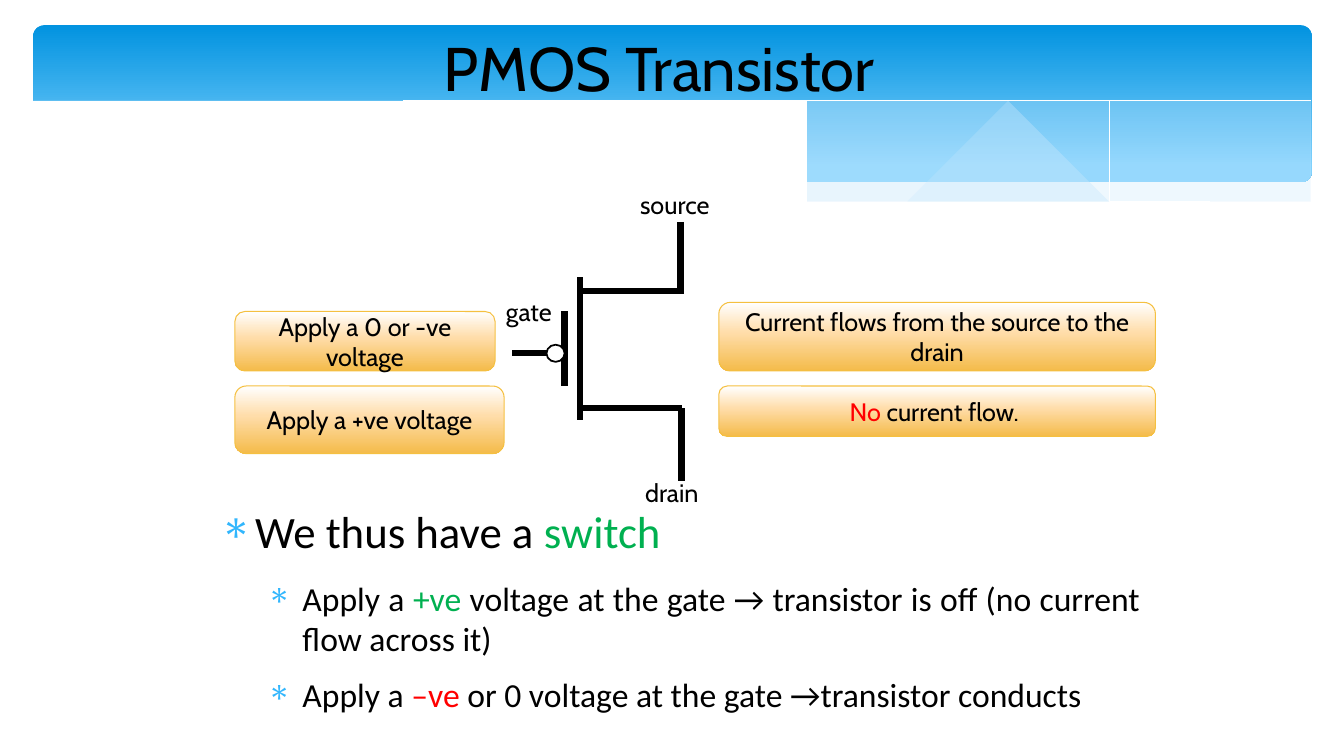
from lxml.etree import SubElement
from pptx import Presentation
from pptx.dml.color import RGBColor
from pptx.enum.shapes import MSO_CONNECTOR as Connector, MSO_SHAPE as Preset
from pptx.enum.text import MSO_ANCHOR as Anchor, MSO_AUTO_SIZE as AutoSize, PP_ALIGN as Align
from pptx.oxml.ns import qn
from pptx.util import Inches, Pt

COLORS = {
    "black": "000000", "white": "FFFFFF", "red": "FF0000", "green": "00B050",
    "bullet": "31B6FD", "wave": "C6E7FC", "sky": "0293E0", "light_sky": "83D3FE",
    "peach": "FFDDAA", "amber": "F4BB4A", "amber_edge": "F5C040",
}
BANNER_STOPS = [(0, "sky"), (90, "light_sky")]
LABEL_STOPS = [(0, "white"), (44, "peach"), (100, "amber")]

RIGHT_WAVE = [
    (13.01, 0.94), (12.46, 1.01), (11.88, 1.1), (11.47, 1.18), (10.73, 1.31), (10.05, 1.43),
    (9.41, 1.52), (8.82, 1.6), (9.4, 1.65), (9.93, 1.69), (10.41, 1.72), (10.99, 1.72),
    (11.51, 1.7), (11.96, 1.65), (12.38, 1.58), (12.66, 1.52), (13.01, 1.42),
]
MIDDLE_WAVE = [
    (11.9, 1.67), (11.16, 1.59), (10.34, 1.49), (9.41, 1.34), (8.39, 1.16), (7.78, 1.06),
    (7.21, 0.97), (6.69, 0.9), (6.19, 0.86), (5.6, 0.82), (5.06, 0.8), (4.59, 0.8),
    (4.18, 0.82), (3.82, 0.86), (4.31, 0.9), (4.83, 0.97), (5.39, 1.06), (5.99, 1.16),
    (7.06, 1.35), (8.02, 1.5), (8.87, 1.61), (9.63, 1.68), (10.3, 1.72), (10.9, 1.73),
    (11.43, 1.71), (11.9, 1.67),
]
FALLING_CURVE = [
    (4.12, 0.9), (4.38, 0.86), (4.84, 0.83), (5.55, 0.81), (6.25, 0.83), (7.1, 0.88),
    (8.11, 0.98), (9.27, 1.14), (10.6, 1.36), (12.1, 1.66),
]
RISING_CURVE = [
    (8.18, 1.51), (8.7, 1.41), (9.61, 1.24), (10.75, 1.04), (11.55, 0.93), (12.13, 0.86),
    (12.67, 0.82), (13, 0.8),
]
PAGE_EDGE = [
    (13.03, 1.41), (12.66, 1.51), (12.13, 1.62), (11.51, 1.69), (10.78, 1.71), (9.92, 1.68),
    (8.91, 1.6), (8.04, 1.49), (7.06, 1.33), (5.96, 1.14), (5.21, 1.02), (4.53, 0.92),
    (3.9, 0.85), (3.33, 0.81), (2.82, 0.78), (2.35, 0.78), (1.76, 0.81), (1.27, 0.85),
    (0.89, 0.91), (0.61, 0.98), (0.31, 1.07),
]
PAGE_CORNERS = [(0.31, 2.24), (13.03, 2.24)]


def smooth_curve(knots, steps=4):
    """Return points of a Catmull-Rom curve through the knots."""
    padded = [knots[0], *knots, knots[-1]]
    points = [knots[0]]
    for a, b, c, d in zip(padded, padded[1:], padded[2:], padded[3:]):
        for step in range(1, steps + 1):
            t = step / steps
            points.append(tuple(
                q + t / 2 * (r - p + t * (2 * p - 5 * q + 4 * r - s + t * (3 * (q - r) + s - p)))
                for p, q, r, s in zip(a, b, c, d)))
    return points


class TransistorSlide:
    """Draws the elements of the transistor slide in one style."""

    font = "Cabin"
    body_font = "Calibri"

    def __init__(self, slide):
        """Keep the slide to draw on."""
        self.slide = slide
        self.shapes = slide.shapes

    def color(self, name):
        """Return a named colour."""
        return RGBColor.from_string(COLORS[name])

    def outline(self, shape, edge, width):
        """Set or remove an outline and drop the shadow."""
        shape.shadow.inherit = False
        if edge is None:
            shape.line.fill.background()
        else:
            shape.line.color.rgb = self.color(edge)
            shape.line.width = Pt(width)

    def preset(self, kind, box, fill, edge=None, width=0.75):
        """Add a preset shape with a plain or vertical gradient fill."""
        shape = self.shapes.add_shape(kind, *map(Inches, box))
        self.outline(shape, edge, width)
        if isinstance(fill, str):
            shape.fill.solid()
            shape.fill.fore_color.rgb = self.color(fill)
            return shape
        shape.fill.gradient()
        shape.fill.gradient_angle = 270
        stops = shape.element.spPr.find(".//" + qn("a:gsLst"))
        for stop in list(stops):
            stops.remove(stop)
        for percent, name in fill:
            stop = SubElement(stops, qn("a:gs"), pos=str(percent * 1000))
            SubElement(stop, qn("a:srgbClr"), val=COLORS[name])
        return shape

    def freeform(self, points, fill=None, opacity=100, edge=None):
        """Add a filled outline, or an open curve when there is no fill."""
        builder = self.shapes.build_freeform(*points[0], scale=Inches(1))
        builder.add_line_segments(points[1:], close=fill is not None)
        shape = builder.convert_to_shape()
        self.outline(shape, edge, 0)
        if fill is None:
            shape.fill.background()
            return
        shape.fill.solid()
        shape.fill.fore_color.rgb = self.color(fill)
        if opacity < 100:
            tint = shape.element.spPr.find(qn("a:solidFill")).find(qn("a:srgbClr"))
            SubElement(tint, qn("a:alpha"), val=str(opacity * 1000))

    def fill_paragraph(self, paragraph, runs, size, font, align=None):
        """Fill a paragraph with (text, colour) runs."""
        paragraph.font.size = Pt(size)
        paragraph.font.name = font
        paragraph.alignment = align
        if len(runs) == 1:
            paragraph.font.color.rgb = self.color(runs[0][1])
        for words, name in runs:
            run = paragraph.add_run()
            run.text = words
            if len(runs) > 1:
                run.font.color.rgb = self.color(name)

    def caption(self, words, box, size=18, wrap=False, align=None):
        """Add a free-standing text."""
        frame = self.shapes.add_textbox(*map(Inches, box)).text_frame
        frame.word_wrap = wrap
        frame.auto_size = AutoSize.SHAPE_TO_FIT_TEXT
        self.fill_paragraph(frame.paragraphs[0], [(words, "black")], size, self.font, align)

    def label(self, runs, box):
        """Add a rounded amber label."""
        frame = self.preset(Preset.ROUNDED_RECTANGLE, box, LABEL_STOPS, "amber_edge").text_frame
        frame.word_wrap = True
        frame.vertical_anchor = Anchor.MIDDLE
        self.fill_paragraph(frame.paragraphs[0], runs, 18, self.font, Align.CENTER)

    def wire(self, x1, y1, x2, y2):
        """Add a thick black line."""
        line = self.shapes.add_connector(Connector.STRAIGHT, *map(Inches, (x1, y1, x2, y2)))
        line.line.color.rgb = self.color("black")
        line.line.width = Pt(4.5)
        SubElement(line.element.spPr, qn("a:effectLst"))

    def bullets(self, items, box):
        """Add a bulleted list of (level, runs) items."""
        frame = self.shapes.add_textbox(*map(Inches, box)).text_frame
        frame.word_wrap = True
        frame.margin_left = frame.margin_right = frame.margin_top = frame.margin_bottom = 0
        for index, (level, runs) in enumerate(items):
            paragraph = frame.add_paragraph() if index else frame.paragraphs[0]
            paragraph.level = level
            props = paragraph._p.get_or_add_pPr()
            props.set("marL", str(Inches(0.47 * (level + 1))))
            props.set("indent", str(Inches(-0.35)))
            tint = SubElement(props, qn("a:buClr"))
            SubElement(tint, qn("a:srgbClr"), val=COLORS["bullet"])
            SubElement(props, qn("a:buChar"), char="∗")
            paragraph.space_after = Pt(11.3 if level else 14.1)
            self.fill_paragraph(
                paragraph, runs, 24 if level else 32, self.body_font, Align.JUSTIFY)


def main():
    """Build the slide and save it."""
    deck = Presentation()
    deck.slide_width, deck.slide_height = Inches(13.33), Inches(7.5)
    page = TransistorSlide(deck.slides.add_slide(deck.slide_layouts[6]))

    banner = page.preset(Preset.ROUNDED_RECTANGLE, (0.33, 0.25, 12.68, 1.56), BANNER_STOPS)
    banner.adjustments[0] = 0.07
    page.freeform(smooth_curve(RIGHT_WAVE), "wave", 29)
    page.freeform(smooth_curve(MIDDLE_WAVE), "wave", 40)
    for curve in (FALLING_CURVE, RISING_CURVE):
        page.freeform(smooth_curve(curve), edge="white")
    page.freeform(smooth_curve(PAGE_EDGE) + PAGE_CORNERS, "white")

    page.caption("PMOS Transistor", (1.83, 0.25, 9.42, 0.84), 44, True, Align.CENTER)
    page.label([("Apply a 0 or -ve voltage", "black")], (2.33, 3.09, 2.58, 0.59))
    page.label([("Current flows from the source to the drain", "black")], (7.13, 3, 4.33, 0.68))
    page.label([("Apply a +ve voltage", "black")], (2.33, 3.83, 2.67, 0.67))
    page.label([("No", "red"), (" current flow. ", "black")], (7.13, 3.83, 4.33, 0.5))
    page.caption("source", (6.25, 1.83, 0.92, 0.4))
    page.caption("drain", (6.3, 4.69, 0.75, 0.4))
    page.caption("gate", (4.92, 2.89, 0.68, 0.4))
    page.bullets([
        (0, [("We thus have a ", "black"), ("switch", "green")]),
        (1, [("Apply a ", "black"), ("+ve ", "green"),
             ("voltage at the gate → transistor is off (no current flow across it)", "black")]),
        (1, [("Apply a ", "black"), ("–ve ", "red"),
             ("or 0 voltage at the gate →transistor conducts", "black")]),
    ], (2.06, 5, 9.25, 2.28))

    gate_x, channel_x, lead_x = 5.6, 5.75, 6.76
    source_y, drain_y = 2.89, 4.05
    page.wire(5.08, 3.5, gate_x, 3.5)
    page.wire(gate_x, 3.09, gate_x, 3.83)
    page.wire(channel_x, 2.75, channel_x, 4.17)
    for lead_y in (source_y, drain_y):
        page.wire(channel_x, lead_y, lead_x, lead_y)
    page.wire(lead_x, drain_y, lead_x, 4.77)
    page.preset(Preset.OVAL, (5.42, 3.42, 0.18, 0.17), "white", "black", 1.25)
    page.wire(6.75, 2.2, 6.75, 2.92)

    deck.save("out.pptx")


if __name__ == "__main__":
    main()
